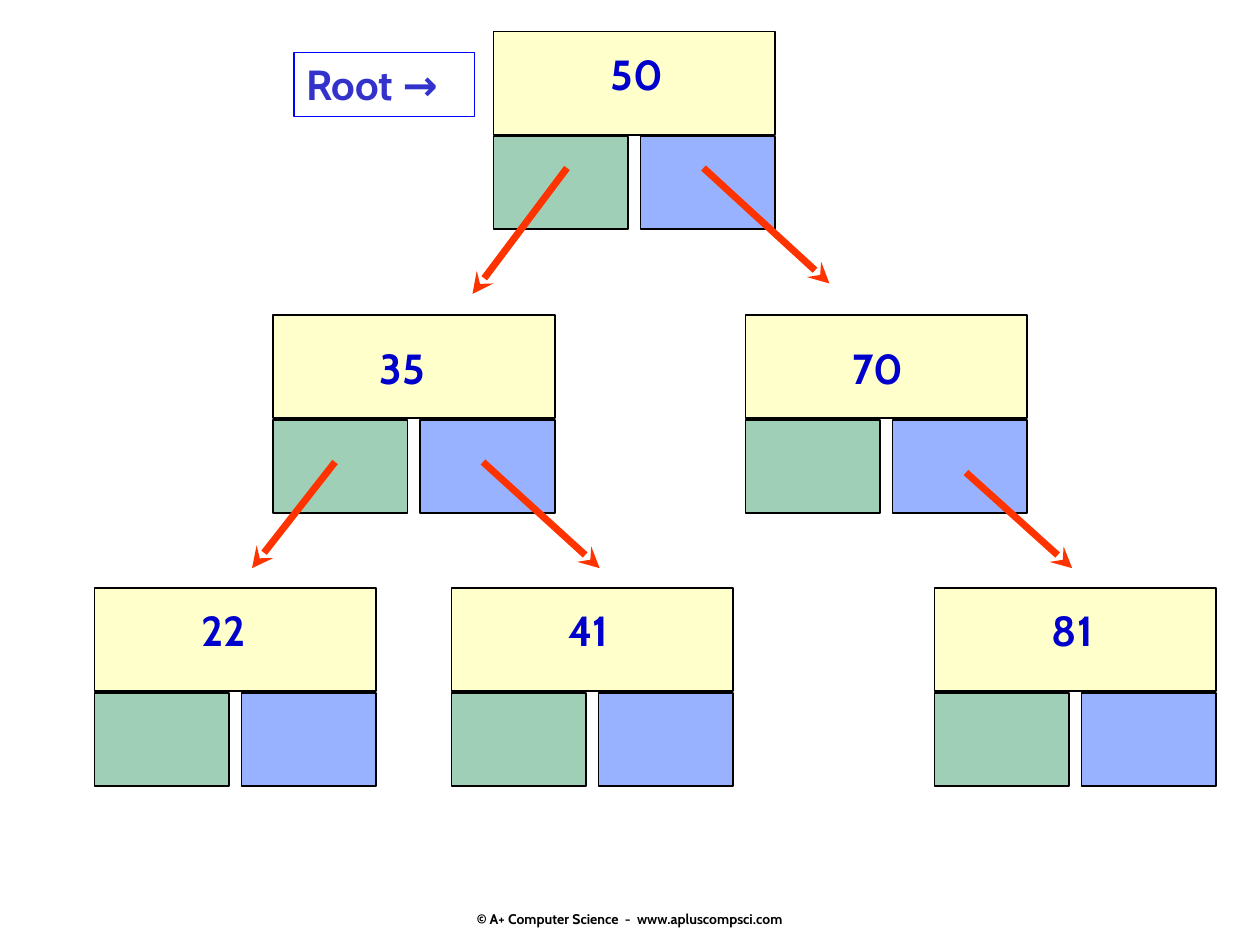
from lxml import etree
from pptx import Presentation
from pptx import util as u
from pptx.dml.color import RGBColor
from pptx.enum import shapes, text
from pptx.oxml.ns import qn

CARD_SIZE = (161, 59)
LINK_SIZE = (77, 53)
LINK_DROP = 60
RIGHT_LINK_SHIFT = 84
VALUE_SIZE = (44.6, 36.4)

# value, card corner, value offset inside the card
NODES = [
    ("50", (282, 18), (60, 6)),
    ("35", (156, 180), (54, 12)),
    ("70", (426, 180), (54, 12)),
    ("22", (54, 336), (54, 6)),
    ("41", (258, 336), (60, 6)),
    ("81", (534, 336), (60, 6)),
]
# start and end of each pointer
POINTERS = [
    ((276, 264), (342.7, 324.7)),
    ((191.5, 264), (144, 324.7)),
    ((324, 96), (270, 168)),
    ((402, 96), (474, 162)),
    ((552, 270), (612.7, 324.7)),
]


def rgb(value):
    return RGBColor.from_string(value)


def points(*values):
    return [u.Pt(value) for value in values]


def apply_format(target, values):
    for name, value in values.items():
        setattr(target, name, value)


class TreePage:
    """Holds the style and the current slide."""

    font = "Cabin"
    card_fill = "FFFFCC"
    left_fill, left_opacity = "339966", 47
    right_fill, right_opacity = "3366FF", 50
    outline = "000000"
    pointer_color = "FF3300"

    def __init__(self, deck):
        self.page = deck.slides.add_slide(deck.slide_layouts[6])

    def rectangle(self, corner, size, line, width, fill=None, opacity=100):
        box = self.page.shapes.add_shape(
            shapes.MSO_SHAPE.RECTANGLE, *points(*corner, *size))
        box.shadow.inherit = False
        box.line.color.rgb = rgb(line)
        box.line.width = u.Pt(width)
        if fill is None:
            box.fill.background()
            return box
        box.fill.solid()
        box.fill.fore_color.rgb = rgb(fill)
        if opacity < 100:
            color = box._element.spPr.find(qn("a:solidFill")).find(qn("a:srgbClr"))
            etree.SubElement(color, qn("a:alpha"), val=str(opacity * 1000))
        return box

    def set_text(self, box, words, size, color, align=text.PP_ALIGN.LEFT, **frame_format):
        """Put one bold line of text into a box."""
        frame = box.text_frame
        apply_format(frame, {
            "word_wrap": False,
            "auto_size": text.MSO_AUTO_SIZE.SHAPE_TO_FIT_TEXT,
            "vertical_anchor": text.MSO_ANCHOR.TOP,
            **frame_format,
        })
        para = frame.paragraphs[0]
        para.alignment = align
        span = para.add_run()
        span.text = words
        apply_format(span.font, {"name": self.font, "size": u.Pt(size), "bold": True})
        span.font.color.rgb = rgb(color)

    def text_box(self, corner, size, words, font_size, color, **options):
        box = self.page.shapes.add_textbox(*points(*corner, *size))
        self.set_text(box, words, font_size, color, **options)

    def node(self, value, corner, offset):
        """Draw a card with its value and its left and right links."""
        left, top = corner
        link_top = top + LINK_DROP
        self.rectangle(corner, CARD_SIZE, self.outline, 1, self.card_fill)
        self.rectangle((left, link_top), LINK_SIZE, self.outline, 1,
                       self.left_fill, self.left_opacity)
        self.rectangle((left + RIGHT_LINK_SHIFT, link_top), LINK_SIZE, self.outline, 1,
                       self.right_fill, self.right_opacity)
        self.text_box((left + offset[0], top + offset[1]), VALUE_SIZE,
                      value, 24, "0000CC")

    def root_label(self):
        box = self.rectangle((168, 30), (103, 36.7), "0000FF", 0.75)
        self.set_text(box, "Root →", 24, "3333CC")

    def pointer(self, start, end):
        arrow = self.page.shapes.add_connector(
            shapes.MSO_CONNECTOR.STRAIGHT, *points(*start, *end))
        arrow.line.color.rgb = rgb(self.pointer_color)
        arrow.line.width = u.Pt(4)
        properties = arrow._element.spPr
        etree.SubElement(properties.find(qn("a:ln")), qn("a:tailEnd"), type="stealth")
        etree.SubElement(properties, qn("a:effectLst"))

    def footer(self):
        self.text_box((246, 492), (228, 38),
                      "© A+ Computer Science  -  www.apluscompsci.com", 8, "000000",
                      align=text.PP_ALIGN.CENTER,
                      auto_size=text.MSO_AUTO_SIZE.NONE,
                      vertical_anchor=text.MSO_ANCHOR.BOTTOM,
                      margin_bottom=0)


def main():
    deck = Presentation()
    deck.slide_width, deck.slide_height = points(720, 540)
    tree = TreePage(deck)
    tree.footer()
    for node in NODES:
        tree.node(*node)
    tree.root_label()
    for pointer in POINTERS:
        tree.pointer(*pointer)
    deck.save("out.pptx")


if __name__ == "__main__":
    main()
